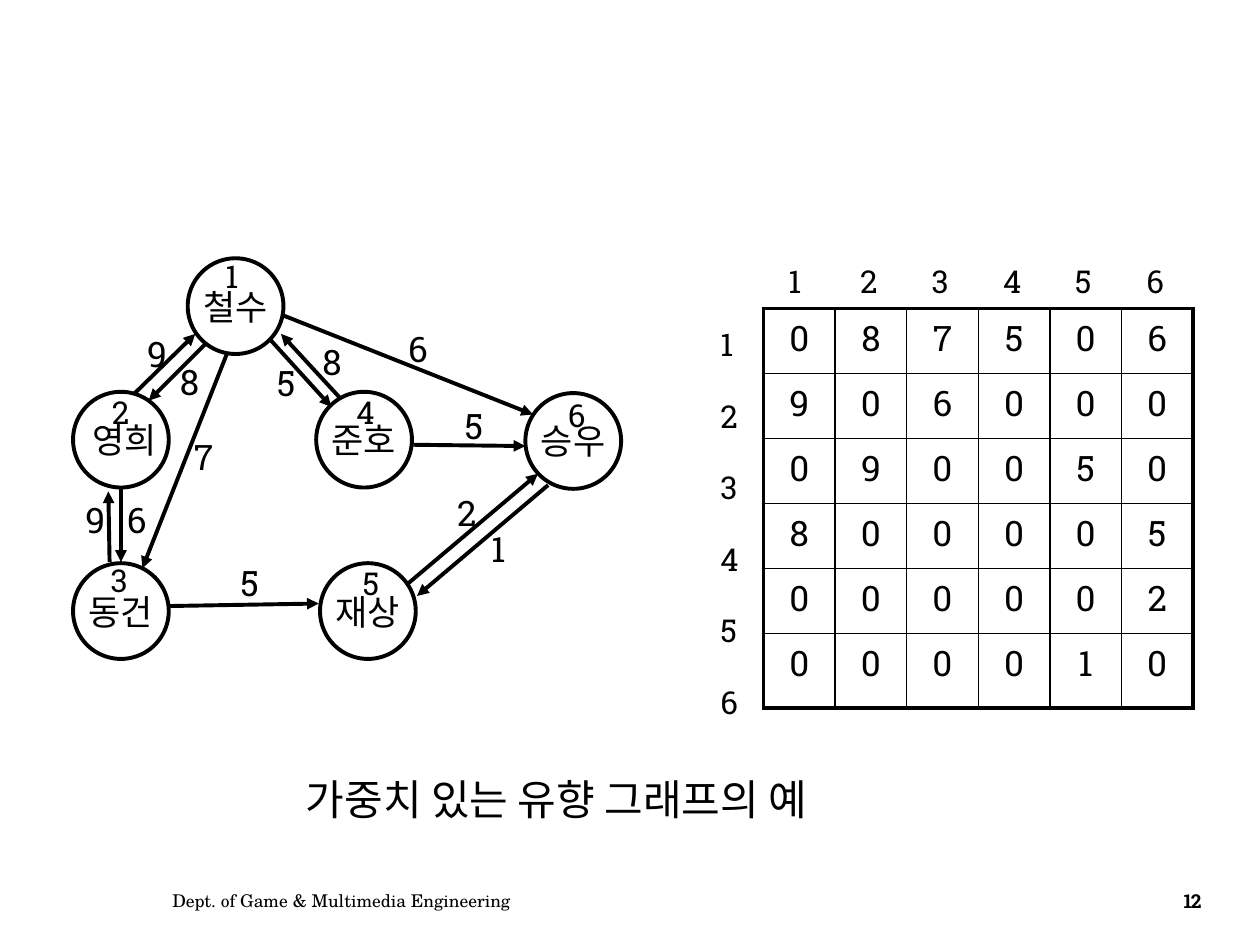
from dataclasses import dataclass

from lxml import etree
from pptx import Presentation
from pptx.dml.color import RGBColor
from pptx.enum.shapes import MSO_CONNECTOR, MSO_SHAPE
from pptx.enum.text import MSO_ANCHOR, MSO_AUTO_SIZE, PP_ALIGN
from pptx.oxml.ns import qn
from pptx.util import Emu, Inches, Pt

STRAIGHT = MSO_CONNECTOR.STRAIGHT
OVAL = MSO_SHAPE.OVAL
LEFT, CENTER = PP_ALIGN.LEFT, PP_ALIGN.CENTER
TOP, MIDDLE = MSO_ANCHOR.TOP, MSO_ANCHOR.MIDDLE
FIT_SHAPE, NO_FIT = MSO_AUTO_SIZE.SHAPE_TO_FIT_TEXT, MSO_AUTO_SIZE.NONE

# The slide is a grid of 100 columns by 75 rows; every length counts its cells.
COLUMNS, ROWS = 100, 75
CELL = Inches(0.1)


@dataclass(frozen=True)
class Theme:
    ink: RGBColor = RGBColor(0, 0, 0)
    digits: str = "Roboto Slab"
    hangul: str = "Noto Sans CJK KR"
    caption: str = "Arial"
    footer: str = "TeX Gyre Schola"
    index_size: float = 18
    value_size: float = 20
    caption_size: float = 24
    footer_size: float = 10
    page_size: float = 11
    thick: float = 2.25
    thin: float = 1


@dataclass(frozen=True)
class Node:
    number: int
    name: str
    left: float
    top: float
    number_at: tuple[float, float]


@dataclass(frozen=True)
class Edge:
    source: int
    target: int
    weight: int
    start: tuple[float, float]
    end: tuple[float, float]
    weight_at: tuple[float, float]


THEME = Theme()
NODE_SIZE = 7.6
INDEX_BOX = (3.3, 4)
WEIGHT_BOX = (3.4, 4.3)

NODES = [
    Node(1, "철수", 14.9, 20.5, (16.9, 19.9)),
    Node(2, " 영희", 5.8, 31.1, (7.9, 30.7)),
    Node(3, "동건", 5.8, 44.7, (7.8, 44)),
    Node(4, "준호", 25.1, 31.1, (27.3, 30.7)),
    Node(5, "재상", 25.4, 44.7, (27.8, 44.3)),
    Node(6, "승우", 41.7, 31.2, (44.1, 30.9)),
]

EDGES = [
    Edge(1, 2, 8, (16.3, 27.3), (11.8, 31.8), (13.3, 28.1)),
    Edge(1, 3, 7, (18, 28.1), (11.3, 45.1), (14.4, 34.1)),
    Edge(1, 4, 5, (21.4, 26.9), (26.3, 32.3), (21, 28.2)),
    Edge(1, 6, 6, (22.4, 25), (42.3, 32.9), (31.4, 25.5)),
    Edge(2, 1, 9, (10.6, 31.3), (15.5, 26.5), (10.7, 25.9)),
    Edge(2, 3, 6, (9.6, 38.8), (9.6, 44.6), (9.1, 39.1)),
    Edge(3, 2, 9, (8.7, 44.6), (8.6, 39), (5.8, 39.1)),
    Edge(3, 5, 5, (13.4, 48.1), (25.3, 47.9), (18.1, 44.1)),
    Edge(4, 1, 8, (27, 31.6), (22.3, 26.5), (24.6, 26.5)),
    Edge(4, 6, 5, (32.8, 35.3), (41.7, 35.4), (35.9, 31.6)),
    Edge(5, 6, 2, (32.4, 46.3), (42.7, 37.6), (35.3, 38.5)),
    Edge(6, 5, 1, (43.5, 38.5), (33.1, 47.3), (38, 41.4)),
]

# Adjacency matrix
MATRIX_LEFT, MATRIX_TOP, MATRIX_WIDTH, MATRIX_HEIGHT = 60.6, 24.5, 34.1, 31.7
LAST_ROW = 5.9
HEADING_STEP = 5.68


def cells(*counts: float) -> list[Emu]:
    return [Emu(round(count * CELL)) for count in counts]


def write(frame, text: str, font: str, size: float, align=LEFT):
    """Put one styled line in a text frame and return its paragraph."""
    paragraph = frame.paragraphs[0]
    paragraph.text = text
    paragraph.alignment = align
    paragraph.font.name = font
    paragraph.font.size = Pt(size)
    paragraph.font.color.rgb = THEME.ink
    return paragraph


def add_label(slide, text: str, at, box, font: str, size: float,
              align=LEFT, anchor=TOP, wrap: bool = False):
    frame = slide.shapes.add_textbox(*cells(*at, *box)).text_frame
    frame.word_wrap = wrap
    frame.auto_size = NO_FIT if wrap else FIT_SHAPE
    frame.vertical_anchor = anchor
    return write(frame, text, font, size, align)


def add_index(slide, number: int, at) -> None:
    add_label(slide, str(number), at, INDEX_BOX, THEME.digits, THEME.index_size)


def add_node(slide, node: Node) -> None:
    circle = slide.shapes.add_shape(
        OVAL, *cells(node.left, node.top, NODE_SIZE, NODE_SIZE))
    circle.shadow.inherit = False
    circle.fill.background()
    circle.line.color.rgb = THEME.ink
    circle.line.width = Pt(THEME.thick)
    circle.text_frame.word_wrap = False
    circle.text_frame.vertical_anchor = MIDDLE
    write(circle.text_frame, node.name, THEME.hangul, THEME.value_size, CENTER)
    add_index(slide, node.number, node.number_at)


def add_edge(slide, edge: Edge) -> None:
    arrow = slide.shapes.add_connector(STRAIGHT, *cells(*edge.start, *edge.end))
    arrow.line.color.rgb = THEME.ink
    arrow.line.width = Pt(THEME.thick)
    etree.SubElement(arrow.line._get_or_add_ln(), qn("a:tailEnd"), type="triangle")
    etree.SubElement(arrow._element.spPr, qn("a:effectLst"))
    add_label(slide, str(edge.weight), edge.weight_at, WEIGHT_BOX,
              THEME.digits, THEME.value_size)


def set_borders(cell, widths: dict[str, float]) -> None:
    properties = cell._tc.get_or_add_tcPr()
    for side, width in widths.items():
        line = etree.SubElement(properties, qn(f"a:ln{side}"), w=str(Pt(width)))
        fill = etree.SubElement(line, qn("a:solidFill"))
        etree.SubElement(fill, qn("a:srgbClr"), val=str(THEME.ink))


def add_matrix(slide, edges: list[Edge], count: int) -> None:
    weights = {(edge.source, edge.target): edge.weight for edge in edges}
    table = slide.shapes.add_table(count, count, *cells(
        MATRIX_LEFT, MATRIX_TOP, MATRIX_WIDTH, MATRIX_HEIGHT)).table
    table.first_row = table.horz_banding = False
    column_width, row_height, last_height = cells(
        MATRIX_WIDTH / count, (MATRIX_HEIGHT - LAST_ROW) / (count - 1), LAST_ROW)
    for index in range(count):
        table.columns[index].width = column_width
        table.rows[index].height = row_height if index < count - 1 else last_height

    for source in range(1, count + 1):
        for target in range(1, count + 1):
            cell = table.cell(source - 1, target - 1)
            outer = {"L": target == 1, "R": target == count,
                     "T": source == 1, "B": source == count}
            set_borders(cell, {side: THEME.thick if edge else THEME.thin
                               for side, edge in outer.items()})
            cell.fill.background()
            paragraph = write(cell.text_frame, str(weights.get((source, target), 0)),
                              THEME.digits, THEME.value_size, CENTER)
            paragraph.space_before = Pt(0.2 * THEME.value_size)

    # Row and column headings
    for index in range(count):
        add_index(slide, index + 1, (56.2, 25.3 + index * HEADING_STEP))
        add_index(slide, index + 1, (61.6 + index * HEADING_STEP, 20.3))


def main() -> None:
    presentation = Presentation()
    presentation.slide_width, presentation.slide_height = cells(COLUMNS, ROWS)
    slide = presentation.slides.add_slide(presentation.slide_layouts[6])

    add_matrix(slide, EDGES, len(NODES))

    # Weighted directed graph
    for node in NODES:
        add_node(slide, node)
    for edge in EDGES:
        add_edge(slide, edge)

    # Caption and footer
    add_label(slide, "가중치 있는 유향 그래프의 예", (23.3, 60.9), (45.7, 5),
              THEME.caption, THEME.caption_size)
    add_label(slide, "Dept. of Game & Multimedia Engineering", (12.7, 69.5), (45.9, 4),
              THEME.footer, THEME.footer_size, anchor=MIDDLE, wrap=True)
    page = add_label(slide, "12", (92, 69.5), (5.3, 4), THEME.digits,
                     THEME.page_size, CENTER, MIDDLE, wrap=True)
    page.font.bold = True
    page.font._element.set("spc", "-70")

    presentation.save("out.pptx")


if __name__ == "__main__":
    main()
